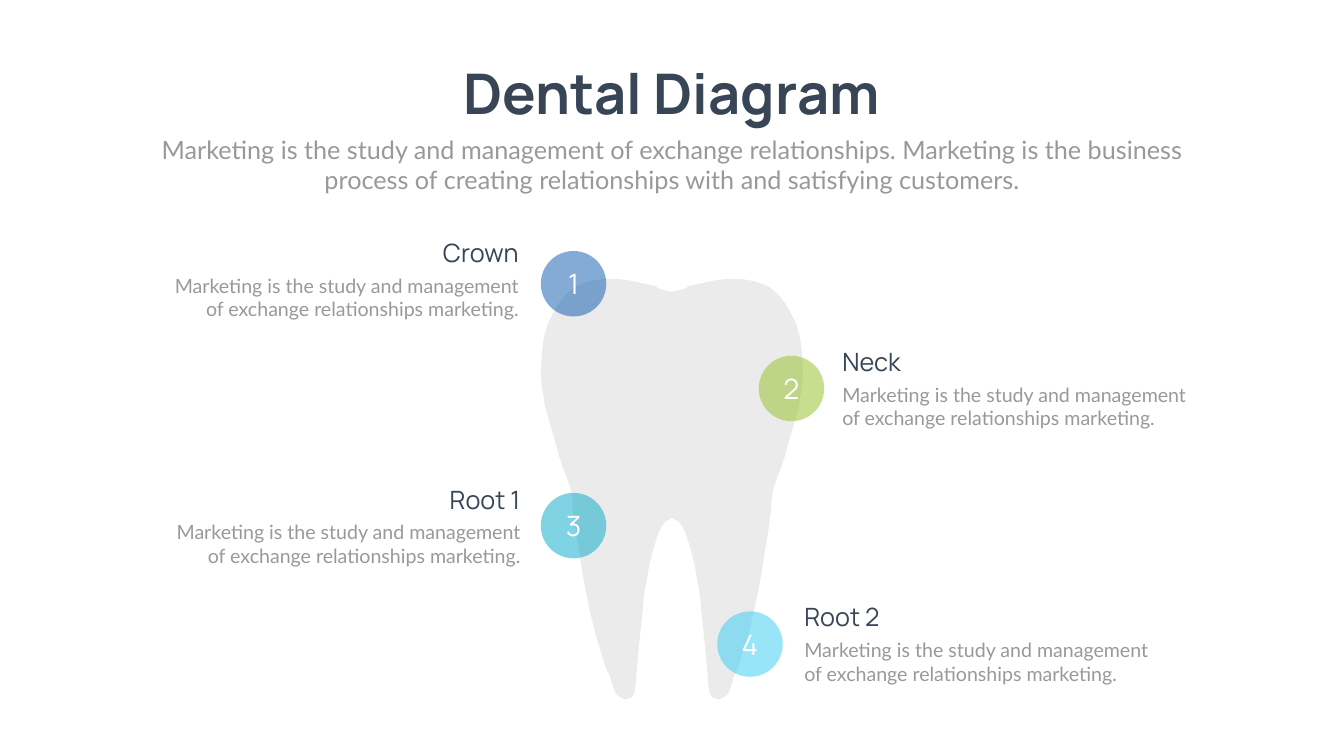
from pptx import Presentation
from pptx import util as u
from pptx.dml.color import RGBColor
from pptx.enum import shapes, text
from pptx.oxml.ns import qn
from lxml import etree

PAPER = RGBColor(0xFE, 0xFF, 0xFE)
NAVY = RGBColor(0x37, 0x45, 0x56)
GRAY = RGBColor(0x99, 0x99, 0x99)
TOOTH = RGBColor(0xEB, 0xEB, 0xEB)
WHITE = RGBColor(0xFF, 0xFF, 0xFF)
BLUE = RGBColor(0x0A, 0x58, 0xAE)
GREEN = RGBColor(0x93, 0xBF, 0x22)
TEAL = RGBColor(0x02, 0xA9, 0xC8)
SKY = RGBColor(0x33, 0xCD, 0xF3)

LEFT, MID, RIGHT = text.PP_ALIGN.LEFT, text.PP_ALIGN.CENTER, text.PP_ALIGN.RIGHT

TITLE = {"name": "Manrope", "size": u.Pt(80), "bold": True}
LEAD = {"name": "Lato", "size": u.Pt(36)}
HEAD = {"name": "Manrope", "size": u.Pt(36)}
BODY = {"name": "Lato", "size": u.Pt(28)}
DIGIT = {"name": "Manrope", "size": u.Pt(40)}

INTRO = ("Marketing is the study and management of exchange relationships. "
         "Marketing is the business process of creating relationships with "
         "and satisfying customers.")
NOTE = "Marketing is the study and management of exchange relationships marketing."

DOT = 3.3
HEAD_W, BODY_W = 9.98, 18.52
HEAD_H, BODY_H = 1.8, 2.64
STEP = 1.83

# Half of the tooth: distance from its axis and depth below its top, in half millimetres
HALF = [
    (0, 13), (6, 12), (13, 10), (18, 7), (28, 5), (41, 2), (57, 0), (66, 0),
    (75, 1), (85, 3), (98, 8), (108, 17), (115, 26), (121, 37), (125, 45),
    (129, 59), (131, 74), (132, 90), (132, 99), (131, 109), (128, 128),
    (123, 146), (118, 163), (114, 178), (110, 190), (106, 200), (103, 209),
    (101, 217), (100, 226), (100, 233), (99, 240), (96, 261), (93, 278),
    (90, 298), (86, 319), (82, 338), (77, 358), (72, 375), (67, 391),
    (62, 402), (59, 412), (57, 418), (52, 422), (47, 424), (41, 422),
    (38, 418), (37, 412), (36, 400), (34, 377), (31, 348), (28, 318),
    (23, 289), (19, 273), (14, 257), (10, 249), (7, 245), (2, 242), (0, 241),
]

PARTS = [
    ("Crown", BLUE, 27.25, 12.65, RIGHT, 26.38, 11.84),
    ("Neck", GREEN, 38.23, 17.93, LEFT, 42.19, 17.32),
    ("Root 1", TEAL, 27.25, 24.84, RIGHT, 26.47, 24.26),
    ("Root 2", SKY, 36.14, 30.81, LEFT, 40.28, 30.2),
]


def write(frame, words, form, color, align):
    par = frame.paragraphs[0]
    par.alignment = align
    run = par.add_run()
    run.text = words
    for key, value in form.items():
        setattr(run.font, key, value)
    run.font.color.rgb = color


def label(slide, box, words, form, color, align, wrap=True):
    frame = slide.shapes.add_textbox(*map(u.Cm, box)).text_frame
    frame.word_wrap = wrap
    frame.auto_size = text.MSO_AUTO_SIZE.SHAPE_TO_FIT_TEXT
    write(frame, words, form, color, align)


def paint(shape, color):
    shape.shadow.inherit = False
    shape.fill.solid()
    shape.fill.fore_color.rgb = color
    shape.line.fill.background()


def tooth(slide):
    points = HALF + [(-x, y) for x, y in HALF[-2:0:-1]]
    pen = slide.shapes.build_freeform(*points[0], scale=u.Cm(0.05))
    pen.add_line_segments(points[1:], close=True)
    paint(pen.convert_to_shape(u.Cm(33.86), u.Cm(14.05)), TOOTH)


def dot(slide, left, top, digit, color):
    shape = slide.shapes.add_shape(
        shapes.MSO_SHAPE.OVAL, *map(u.Cm, (left, top, DOT, DOT)))
    paint(shape, color)
    tint = shape.fill._xPr.find(qn("a:solidFill"))[0]
    etree.SubElement(tint, qn("a:alpha")).set("val", "50000")
    frame = shape.text_frame
    frame.vertical_anchor = text.MSO_ANCHOR.MIDDLE
    write(frame, digit, DIGIT, WHITE, MID)


def callout(slide, name, align, edge, top):
    rows = [(name, HEAD, NAVY, HEAD_W, HEAD_H), (NOTE, BODY, GRAY, BODY_W, BODY_H)]
    for row, (words, form, color, width, height) in enumerate(rows):
        left = edge - width if align == RIGHT else edge
        box = (left, top + row * STEP, width, height)
        label(slide, box, words, form, color, align)


def main():
    deck = Presentation()
    deck.slide_width, deck.slide_height = u.Cm(67.72), u.Cm(38.1)
    slide = deck.slides.add_slide(deck.slide_layouts[6])
    slide.background.fill.solid()
    slide.background.fill.fore_color.rgb = PAPER

    label(slide, (21.97, 2.84, 23.75, 3.68), "Dental Diagram", TITLE, NAVY, MID, False)
    label(slide, (7.42, 6.63, 52.88, 3.33), INTRO, LEAD, GRAY, MID)
    tooth(slide)
    for number, (name, color, left, top, *_) in enumerate(PARTS, 1):
        dot(slide, left, top, str(number), color)
    for name, _, _, _, align, edge, top in PARTS:
        callout(slide, name, align, edge, top)
    deck.save("out.pptx")


if __name__ == "__main__":
    main()
